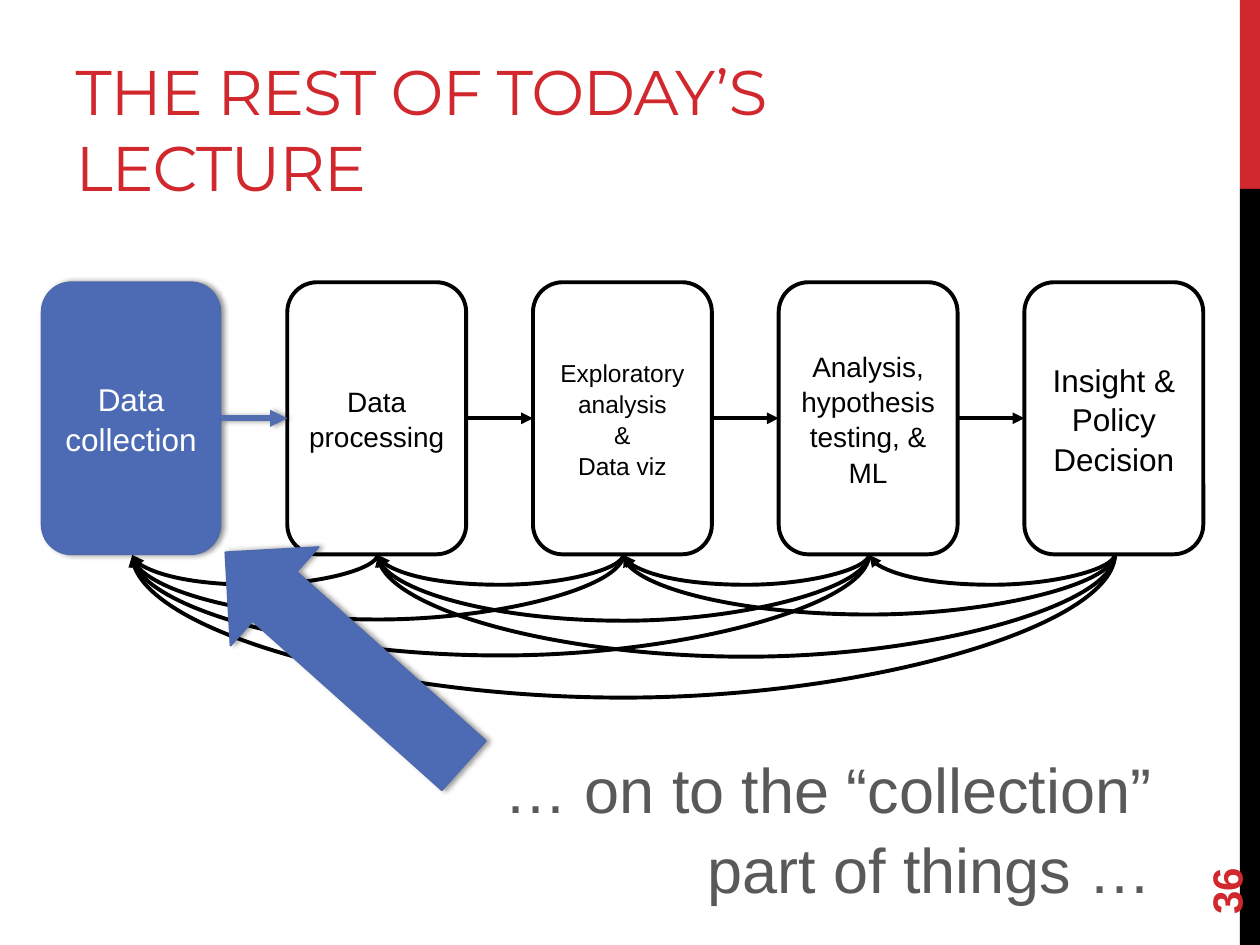
from lxml import etree
from pptx import Presentation
from pptx.dml.color import RGBColor
from pptx.enum import shapes, text
from pptx.oxml import ns
from pptx.util import Inches, Pt

RED, BLUE, EDGE, BLACK, WHITE = "D1282E", "4D6BB5", "4E6AAE", "000000", "FFFFFF"
LEFT, STEP, TOP, WIDE, HIGH = 0.33, 1.95, 2.24, 1.42, 2.16
STAGES = [
    (["Data collection"], 18),
    (["Data processing"], 16),
    (["Exploratory analysis", "&", "Data viz"], 14),
    (["Analysis, hypothesis testing, & ML"], 16),
    (["Insight & Policy Decision"], 18),
]
LOOPS = [
    (1, 0, 0.25),
    (2, 1, 0.25), (2, 0, 0.53),
    (3, 2, 0.25), (3, 1, 0.54), (3, 0, 0.82),
    (4, 3, 0.25), (4, 2, 0.49), (4, 1, 0.83), (4, 0, 1.16),
]


def color(code):
    return RGBColor.from_string(code)


def child(node, tag, **attrs):
    item = etree.SubElement(node, ns.qn(tag))
    for key, value in attrs.items():
        item.set(key, str(value))
    return item


def effect(shape, soft):
    group = child(shape.element.spPr, "a:effectLst")
    if soft:
        shade = child(group, "a:outerShdw", blurRad=Pt(3.1), dist=Pt(1.8),
                      dir=0, rotWithShape=0)
        tone = child(shade, "a:srgbClr", val=BLACK)
        child(tone, "a:alpha", val=40000)


def write(frame, lines, size, code, align, font="Arial", bold=False, space=1.05):
    frame.word_wrap = True
    for i, line in enumerate(lines):
        para = frame.paragraphs[0] if i == 0 else frame.add_paragraph()
        para.alignment = align
        para.line_spacing = space
        run = para.add_run()
        run.text = line
        run.font.name = font
        run.font.size = Pt(size)
        run.font.bold = bold
        run.font.color.rgb = color(code)
    return run


def add_form(slide, kind, box, fill, edge=None, width=1, soft=False):
    form = slide.shapes.add_shape(kind, *map(Inches, box))
    form.fill.solid()
    form.fill.fore_color.rgb = color(fill)
    if edge:
        form.line.color.rgb = color(edge)
        form.line.width = Pt(width)
    else:
        form.line.fill.background()
    effect(form, soft)
    return form


def add_stage(slide, i, lines, size):
    first = i == 0
    look = (BLUE, EDGE, 1, True) if first else (WHITE, BLACK, 2.25)
    form = add_form(slide, shapes.MSO_SHAPE.ROUNDED_RECTANGLE,
                    (LEFT + i * STEP, TOP, WIDE, HIGH), *look)
    form.text_frame.vertical_anchor = text.MSO_ANCHOR.MIDDLE
    write(form.text_frame, lines, size, WHITE if first else BLACK,
          text.PP_ALIGN.CENTER)
    return form


def style(line, code, width, soft=False):
    line.line.color.rgb = color(code)
    line.line.width = Pt(width)
    child(line.element.spPr.find(ns.qn("a:ln")), "a:tailEnd", type="triangle")
    effect(line, soft)


def add_link(slide, start, end, *look):
    line = slide.shapes.add_connector(shapes.MSO_CONNECTOR.STRAIGHT, 0, 0, 0, 0)
    line.begin_connect(start, 3)
    line.end_connect(end, 1)
    style(line, *look)


def add_loop(slide, start, end, depth):
    span, thin = (start - end) * STEP, 0.01
    mid = LEFT + 0.72 + (start + end) * STEP / 2
    base = TOP + HIGH
    line = slide.shapes.add_connector(
        shapes.MSO_CONNECTOR.CURVE,
        Inches(mid - thin / 2), Inches(base - span / 2),
        Inches(mid + thin / 2), Inches(base + span / 2))
    props = line.element.spPr
    props.find(ns.qn("a:xfrm")).set("rot", "5400000")
    guides = props.find(ns.qn("a:prstGeom")).find(ns.qn("a:avLst"))
    child(guides, "a:gd", name="adj1", fmla=f"val {round(depth / thin * 100000)}")
    style(line, BLACK, 2.25)


def add_title(slide):
    title = slide.shapes.title
    title.left, title.top, title.width, title.height = map(
        Inches, (0.5, 0.17, 6.33, 1.5))
    title.text_frame.vertical_anchor = text.MSO_ANCHOR.BOTTOM
    run = write(title.text_frame, ["THE REST OF TODAY’S LECTURE"], 36, RED,
                text.PP_ALIGN.LEFT, "Montserrat", space=1)
    run.font.element.set("spc", "-60") if hasattr(run.font, "element") else \
        run._r.get_or_add_rPr().set("spc", "-60")


def add_note(slide, box, line, size, code, align, bold=False):
    note = slide.shapes.add_textbox(*map(Inches, box))
    write(note.text_frame, [line], size, code, align, bold=bold)
    return note


def main():
    deck = Presentation()
    deck.slide_width, deck.slide_height = Inches(10), Inches(7.5)
    slide = deck.slides.add_slide(deck.slide_layouts[5])
    kinds = shapes.MSO_SHAPE
    add_form(slide, kinds.RECTANGLE, (9.84, 0, 0.16, 1.5), RED)
    add_form(slide, kinds.RECTANGLE, (9.84, 1.5, 0.16, 6), BLACK)
    add_title(slide)
    page = add_note(slide, (9, 6.44, 1.44, 0.4), "36", 24, RED,
                    text.PP_ALIGN.LEFT, True)
    page.rotation = 270
    page.text_frame.vertical_anchor = text.MSO_ANCHOR.MIDDLE
    forms = [add_stage(slide, i, *stage) for i, stage in enumerate(STAGES)]
    for i, (start, end) in enumerate(zip(forms, forms[1:])):
        look = ("526DB0", 3.25, True) if i == 0 else (BLACK, 2.25)
        add_link(slide, start, end, *look)
    for loop in LOOPS:
        add_loop(slide, *loop)
    arrow = add_form(slide, kinds.DOWN_ARROW, (2.21, 3.96, 1.05, 2.54),
                     BLUE, EDGE, 1, True)
    arrow.rotation = 131.8
    add_note(slide, (3.57, 5.88, 5.67, 1.31),
             "… on to the “collection” part of things …", 36, "595959",
             text.PP_ALIGN.RIGHT)
    deck.save("out.pptx")


if __name__ == "__main__":
    main()
